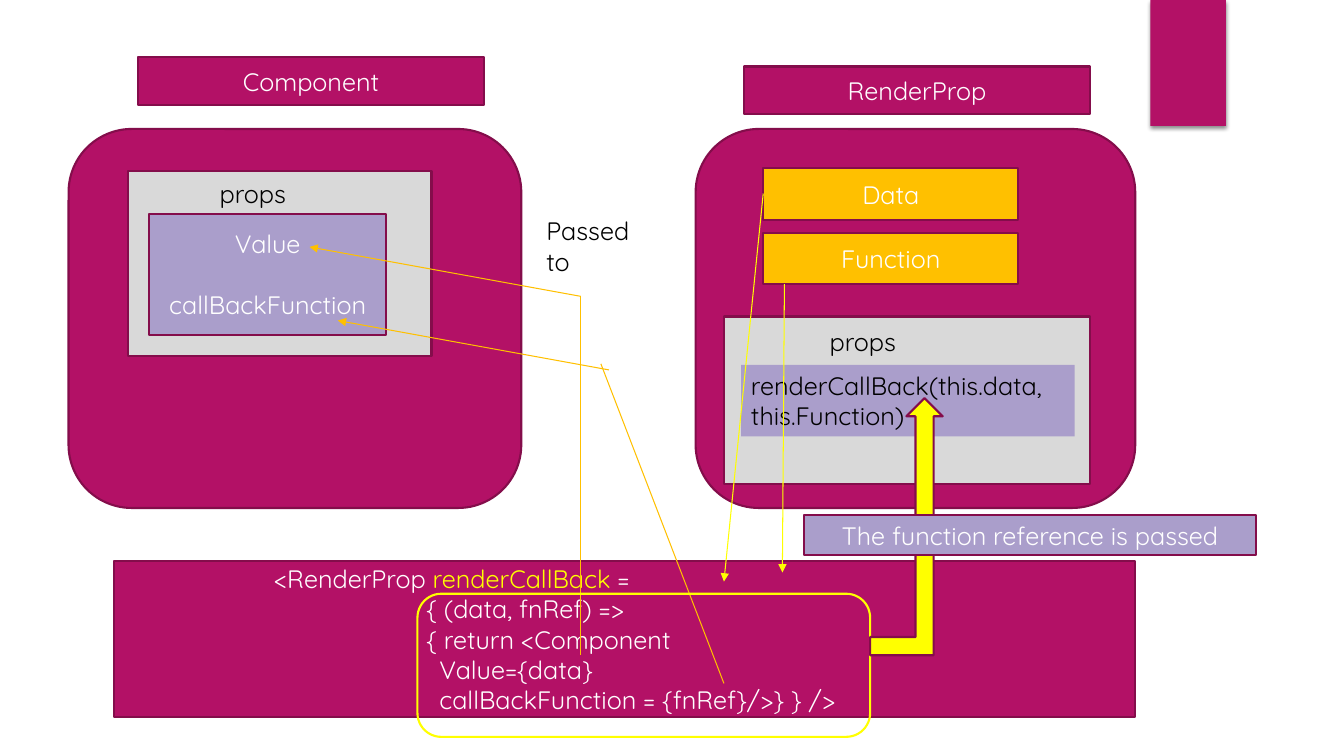
"""Draw how a RenderProp hands its data and function to a Component."""

from dataclasses import dataclass
from typing import Optional, Union

from lxml.etree import SubElement
from pptx import Presentation
from pptx.dml.color import RGBColor
from pptx.enum.shapes import MSO_CONNECTOR, MSO_SHAPE
from pptx.enum.text import MSO_ANCHOR, PP_ALIGN
from pptx.oxml.ns import qn
from pptx.slide import Slide
from pptx.util import Inches, Pt

GRID = 0.1
COLUMNS, ROWS = 133.3, 75
FONT, FONT_SIZE = "Quicksand", 18
MAGENTA, PLUM, LILAC, GREY = "B31166", "840D4B", "AA9ECB", "D9D9D9"
AMBER, YELLOW, WHITE, BLACK = "FFC000", "FFFF00", "FFFFFF", "000000"


@dataclass(frozen=True)
class Line:
    """One paragraph, with an optional stretch in a second colour."""

    text: str
    indent: float = 0
    space_before: float = 0
    highlight: str = ""


@dataclass(frozen=True)
class Box:
    """A preset shape placed in grid columns and rows."""

    column: float
    row: float
    width: float
    height: float
    lines: tuple[Line, ...] = ()
    fill: Optional[str] = MAGENTA
    outline: Optional[str] = PLUM
    color: str = WHITE
    align: PP_ALIGN = PP_ALIGN.CENTER
    anchor: MSO_ANCHOR = MSO_ANCHOR.MIDDLE
    preset: MSO_SHAPE = MSO_SHAPE.RECTANGLE
    shadow: bool = False


@dataclass(frozen=True)
class Link:
    """A straight connector between two grid points."""

    start: tuple[float, float]
    end: tuple[float, float]
    color: str
    arrow: bool = True


def label(column: float, row: float, width: float, height: float, text: str,
          fill: str = MAGENTA) -> Box:
    """Return an outlined box with one centred white line."""
    return Box(column, row, width, height, (Line(text),), fill)


def note(column: float, row: float, width: float, height: float, text: str,
         fill: Optional[str] = GREY) -> Box:
    """Return a borderless box with black text at its top left."""
    return Box(column, row, width, height, (Line(text),), fill, None, BLACK,
               PP_ALIGN.LEFT, MSO_ANCHOR.TOP)


def panel(column: float, width: float) -> Box:
    """Return one of the two large rounded panels."""
    return Box(column, 12.8, width, 37.6, preset=MSO_SHAPE.ROUNDED_RECTANGLE)


VALUES = (Line("Value"), Line("callBackFunction", space_before=22))
CODE = (
    Line("<RenderProp renderCallBack =", 14.9, highlight="renderCallBack"),
    Line("{ (data, fnRef) =>", 30),
    Line("{ return <Component", 30),
    Line("Value={data}", 31.3),
    Line("callBackFunction = {fnRef}/>} } />", 31.3),
)
VALUE_TURN = (57.6, 29.4)

ITEMS: tuple[Union[Box, Link], ...] = (
    Box(114.1, 0, 7.5, 12.5, outline=None, shadow=True),
    panel(6.8, 44.9),
    panel(69, 43.6),
    label(73.8, 6.6, 34.3, 4.7, "RenderProp"),
    label(75.7, 23.1, 25.3, 5.1, "Function", AMBER),
    label(75.7, 16.7, 25.3, 5.1, "Data", AMBER),
    Box(71.8, 31.4, 36.3, 16.6, fill=GREY),
    note(73.5, 36.2, 33.1, 7.1, "renderCallBack(this.data, this.Function)", LILAC),
    note(81.3, 31.9, 13.9, 4, "props"),
    Box(12.7, 17, 30.1, 18.3, fill=GREY),
    note(20.8, 17.2, 13.9, 4, "props"),
    Box(14.8, 21.2, 23.5, 12, VALUES, LILAC),
    note(53.2, 20.9, 13, 7.1, "Passed to", None),
    Box(11.3, 55.7, 101.3, 15.4, CODE, align=PP_ALIGN.LEFT),
    Link((75.7, 19.2), (71.8, 57.7), YELLOW),
    Link((77.8, 28.2), (77.6, 56.8), YELLOW),
    Link(VALUE_TURN, (30.7, 24.5), AMBER),
    label(13.7, 5.7, 34.3, 4.7, "Component"),
    Link(VALUE_TURN, (57.6, 65), AMBER, arrow=False),
    Link((60.4, 36.7), (33.5, 31.8), AMBER),
    Link((59.6, 36.1), (71.8, 67.8), AMBER, arrow=False),
    Box(41.4, 58.9, 44.9, 14.2, fill=None, outline=YELLOW,
        preset=MSO_SHAPE.ROUNDED_RECTANGLE),
    Box(86.3, 39.5, 7.2, 25.5, fill=YELLOW, preset=MSO_SHAPE.BENT_UP_ARROW),
    label(79.7, 51.1, 44.9, 4, "The function reference is passed", LILAC),
)


def cells(count: float) -> int:
    """Turn a number of grid cells into a length."""
    return Inches(count * GRID)


def paint(target, color: str) -> None:
    """Give a fill a solid colour from a hex string."""
    target.solid()
    target.fore_color.rgb = RGBColor.from_string(color)


def write(shape, box: Box) -> None:
    """Write the lines of a box into its shape."""
    frame = shape.text_frame
    frame.word_wrap = True
    frame.vertical_anchor = box.anchor
    for index, line in enumerate(box.lines):
        paragraph = frame.add_paragraph() if index else frame.paragraphs[0]
        paragraph.alignment = box.align
        paragraph.space_before = Pt(line.space_before)
        paragraph.font.name = FONT
        paragraph.font.size = Pt(FONT_SIZE)
        paint(paragraph.font.fill, box.color)
        properties = paragraph._p.get_or_add_pPr()
        properties.set("marL", str(cells(line.indent)))
        properties.set("indent", "0")
        parts = line.text.partition(line.highlight) if line.highlight else (line.text,)
        for part in parts:
            run = paragraph.add_run()
            run.text = part
            if part == line.highlight:
                paint(run.font.fill, YELLOW)


def cast_shadow(shape) -> None:
    """Add a soft shadow below a shape."""
    effects = shape._element.spPr.find(qn("a:effectLst"))
    shadow = SubElement(effects, qn("a:outerShdw"), blurRad=str(Pt(3)),
                        dist=str(Pt(2)), dir="5400000", rotWithShape="0")
    color = SubElement(shadow, qn("a:srgbClr"), val=BLACK)
    SubElement(color, qn("a:alpha"), val="45000")


def draw_box(slide: Slide, box: Box) -> None:
    """Draw a box with its fill, outline and text."""
    shape = slide.shapes.add_shape(box.preset, cells(box.column), cells(box.row),
                                   cells(box.width), cells(box.height))
    shape.shadow.inherit = False
    if box.fill:
        paint(shape.fill, box.fill)
    else:
        shape.fill.background()
    if box.outline:
        paint(shape.line.fill, box.outline)
        shape.line.width = Pt(1.5)
    else:
        shape.line.fill.background()
    if box.shadow:
        cast_shadow(shape)
    write(shape, box)


def draw_link(slide: Slide, link: Link) -> None:
    """Draw a thin connector, with an arrowhead if it has one."""
    connector = slide.shapes.add_connector(
        MSO_CONNECTOR.STRAIGHT, *map(cells, link.start + link.end))
    paint(connector.line.fill, link.color)
    connector.line.width = Pt(0.75)
    if link.arrow:
        SubElement(connector.line._get_or_add_ln(), qn("a:tailEnd"), type="triangle")
    SubElement(connector._element.spPr, qn("a:effectLst"))


def main() -> None:
    """Build the slide and save it."""
    presentation = Presentation()
    presentation.slide_width = cells(COLUMNS)
    presentation.slide_height = cells(ROWS)
    slide = presentation.slides.add_slide(presentation.slide_layouts[6])
    for item in ITEMS:
        if isinstance(item, Box):
            draw_box(slide, item)
        else:
            draw_link(slide, item)
    presentation.save("out.pptx")


if __name__ == "__main__":
    main()
